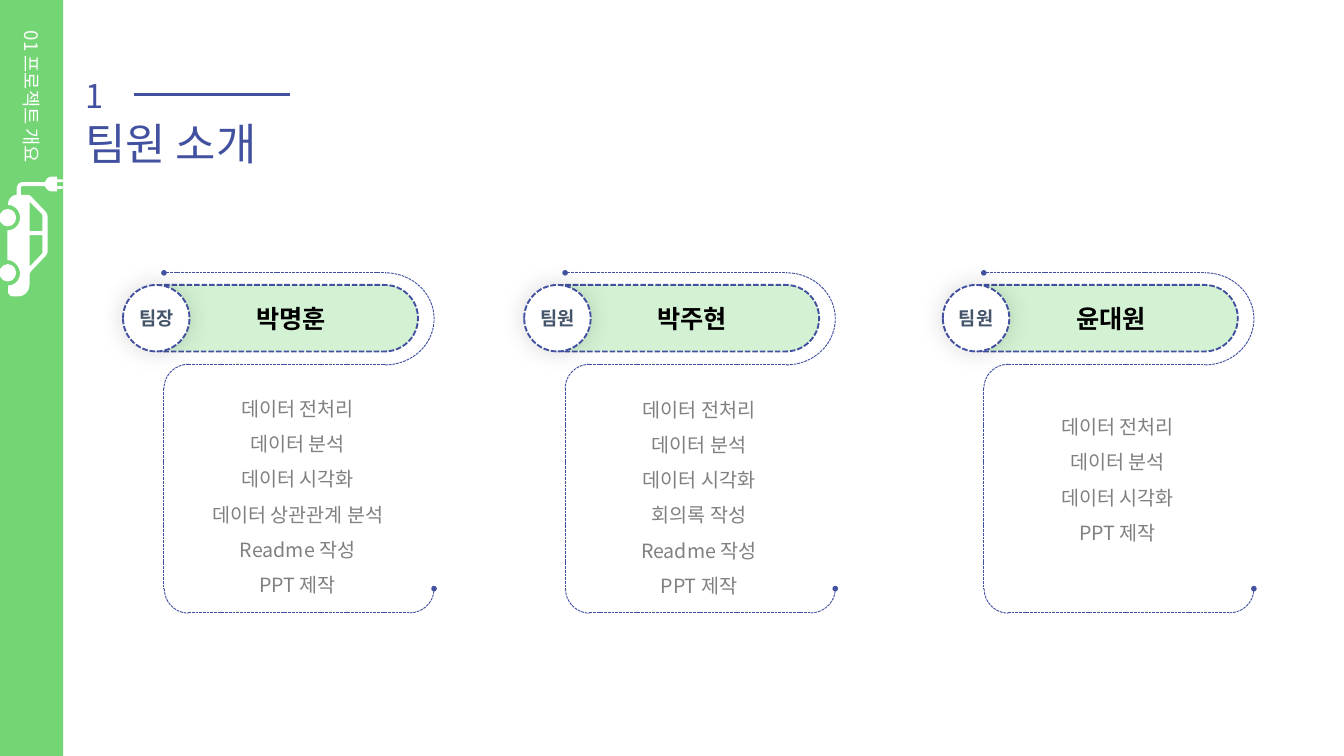
from lxml import etree
from pptx import Presentation
from pptx.dml.color import RGBColor
from pptx.enum.dml import MSO_LINE
from pptx.enum.shapes import MSO_CONNECTOR, MSO_SHAPE as SHAPE
from pptx.enum.text import MSO_ANCHOR as ANCHOR, MSO_AUTO_SIZE as AUTO, PP_ALIGN as ALIGN
from pptx.oxml.ns import qn
from pptx.util import Inches, Pt

# Content
SECTION = "01 프로젝트 개요"
NUMBER, TITLE = "1", "팀원 소개"
COMMON = ["데이터 전처리", "데이터 분석", "데이터 시각화"]
MEMBERS = [  # card left, role, name, tasks, top and height of the task list
    (1.83, "팀장", "박명훈", COMMON + ["데이터 상관관계 분석", "Readme 작성", "PPT 제작"], 5.68, 3.22),
    (7.8, "팀원", "박주현", COMMON + ["회의록 작성", "Readme 작성", "PPT 제작"], 5.69, 3.23),
    (14.03, "팀원", "윤대원", COMMON + ["PPT 제작"], 5.95, 2.17),
]
WHEEL_TOPS = [3.11, 3.93]
CAR_OUTLINES = [  # body with cable and plug, then the two windows
    """M .44 4.23 L .44 4.09 C .44 4.07 .45 4.06 .46 4.04 L .66 3.83 C .69 3.8 .71 3.77 .71 3.73
    L .71 3.23 C .71 3.19 .69 3.16 .66 3.13 L .46 2.92 C .45 2.91 .43 2.9 .41 2.9 L .31 2.9 L .31 2.8
    C .31 2.78 .32 2.77 .34 2.77 L .67 2.77 C .69 2.82 .73 2.85 .78 2.85 L .85 2.85 L .85 2.81 L .92 2.81
    C .95 2.81 .95 2.77 .92 2.77 L .85 2.77 L .85 2.71 L .92 2.71 C .95 2.71 .95 2.67 .92 2.67
    L .85 2.67 L .85 2.63 L .78 2.63 C .73 2.62 .69 2.66 .67 2.71 L .34 2.71 C .29 2.71 .25 2.75 .25 2.8
    L .25 2.9 C .18 2.9 .12 2.96 .12 3.04 L .12 3.05 C .22 3.05 .3 3.14 .3 3.24 C .3 3.35 .21 3.43 .11 3.43
    L .11 3.87 C .21 3.87 .29 3.96 .3 4.06 C .3 4.17 .22 4.25 .12 4.25 L .12 4.34
    C .12 4.37 .15 4.41 .18 4.41 L .28 4.41 C .37 4.41 .44 4.33 .44 4.24""",
    "M .44 3.44 L .44 3 L .62 3.18 C .63 3.2 .64 3.22 .63 3.24 L .63 3.44",
    "M .44 3.5 L .63 3.5 L .63 3.73 C .64 3.75 .63 3.77 .62 3.78 L .44 3.97",
]

THEME = dict(
    font="Noto Sans CJK KR", blue="4250A0", green="73D573", pale="C9EFC9", white="FFFFFF",
    black="000000", slate="44546A", grey="808080",
    title=47, number=35, name=27, task=21, role=20, section=20,
)


def rgb(color):
    return RGBColor.from_string(THEME[color])


def add_xml(parent, tag, **attributes):
    return etree.SubElement(parent, qn(tag), attributes)


def box(left, top, width, height):
    return [Inches(v) for v in (left, top, width, height)]


def write(paragraph, text, size, color, bold=False, align=ALIGN.LEFT):
    paragraph.alignment = align
    run = paragraph.add_run()
    run.text = text
    run.font.size, run.font.bold, run.font.name = Pt(THEME[size]), bold, THEME["font"]
    run.font.color.rgb = rgb(color)
    add_xml(run.font._element, "a:ea", typeface=THEME["font"])


def stroke(part, width, dashed=True, **ends):
    part.line.color.rgb = rgb("blue")
    part.line.width = Pt(width)
    if dashed:
        part.line.dash_style = MSO_LINE.SQUARE_DOT
    for end in ends:
        add_xml(part.element.spPr.find(qn("a:ln")), f"a:{end}", type="oval")


def add_line(shapes, start, stop, width=1, dashed=True, **ends):
    line = shapes.add_connector(MSO_CONNECTOR.STRAIGHT, *box(*start, *stop))
    stroke(line, width, dashed, **ends)
    add_xml(line.element.spPr, "a:effectLst")


def add_filled(shapes, kind, place, color, line_width=0):
    shape = shapes.add_shape(kind, *box(*place))
    shape.shadow.inherit = False
    shape.fill.solid()
    shape.fill.fore_color.rgb = rgb(color)
    if line_width:
        stroke(shape, line_width)
    else:
        shape.line.fill.background()
    shape.text_frame.vertical_anchor = ANCHOR.MIDDLE
    return shape


def add_curve(shapes, kind, place, rotation, **ends):
    curve = shapes.add_shape(kind, *box(*place))
    curve.shadow.inherit = False
    curve.fill.background()
    curve.rotation = rotation
    curve.element.spPr.find(qn("a:xfrm")).set("flipV", "1")
    stroke(curve, 1, **ends)
    return curve


def place_text(holder, place):
    holder.left, holder.top, holder.width, holder.height = box(*place)
    frame = holder.text_frame
    frame.word_wrap, frame.auto_size = True, AUTO.SHAPE_TO_FIT_TEXT
    frame.vertical_anchor = ANCHOR.TOP
    return frame


def add_card(shapes, left, role, name):
    # Name pill and role badge
    pill = add_filled(shapes, SHAPE.ROUNDED_RECTANGLE, (left + .11, 4.24, 4.28, .99), "pale", 2)
    pill.adjustments[0] = .5
    add_xml(pill.element.spPr.find(qn("a:solidFill"))[0], "a:alpha", val="80000")
    paragraph = pill.text_frame.paragraphs[0]
    paragraph.level = 1
    paragraph._p.get_or_add_pPr().set("marL", str(Inches(.5)))
    write(paragraph, name, "name", "black", True, ALIGN.CENTER)

    badge = add_filled(shapes, SHAPE.OVAL, (left, 4.24, .99, .99), "white", 2)
    badge.text_frame.word_wrap = False
    write(badge.text_frame.paragraphs[0], role, "role", "slate", True, ALIGN.CENTER)
    effects = badge.element.spPr.find(qn("a:effectLst"))
    shadow = add_xml(effects, "a:outerShdw", blurRad=str(Pt(26)), dist="0", algn="ctr", rotWithShape="0")
    add_xml(add_xml(shadow, "a:srgbClr", val=THEME["black"]), "a:alpha", val="14000")

    # Dashed frame, running from the top dot to the bottom dot
    x, corner, bend = left + .61, (.73, .72), left + 3.9
    top, middle, bottom, half = 4.06, 5.42, 9.12, .36
    bracket = add_curve(shapes, SHAPE.LEFT_BRACKET, (bend, top, .73, 1.37), 180)
    bracket.adjustments[0] = .94
    add_line(shapes, (x, top), (bend, top), headEnd=True)
    add_line(shapes, (x + half, middle), (bend, middle))
    add_curve(shapes, SHAPE.ARC, (x, middle, *corner), 180)
    add_line(shapes, (x, middle + half), (x, bottom - half))
    add_curve(shapes, SHAPE.ARC, (x, bottom - .72, *corner), 90)
    add_line(shapes, (x + half, bottom), (bend + half, bottom))
    add_curve(shapes, SHAPE.ARC, (bend, bottom - .72, *corner), 0, tailEnd=True)


def outline_points(outline, steps=5):
    tokens, points = outline.split(), []
    while tokens:
        count = 6 if tokens.pop(0) == "C" else 2
        values = [float(v) for v in tokens[:count]]
        del tokens[:count]
        ends = list(zip(values[::2], values[1::2]))
        if count == 2:
            points += ends
            continue
        curve = [points[-1], *ends]
        for t in (i / steps for i in range(1, steps + 1)):
            weights = ((1 - t) ** 3, 3 * t * (1 - t) ** 2, 3 * t * t * (1 - t), t ** 3)
            points.append(tuple(sum(w * p[axis] for w, p in zip(weights, curve)) for axis in (0, 1)))
    return [(Inches(x), Inches(y)) for x, y in points]


def add_car(shapes):
    for top in WHEEL_TOPS:
        add_filled(shapes, SHAPE.OVAL, (-.01, top, .25, .26), "white")
    body, *windows = [outline_points(outline) for outline in CAR_OUTLINES]
    builder = shapes.build_freeform(*body[0])
    builder.add_line_segments(body[1:], close=True)
    for window in windows:
        builder.move_to(*window[0])
        builder.add_line_segments(window[1:], close=True)
    car = builder.convert_to_shape()
    car.shadow.inherit = False
    car.fill.solid()
    car.fill.fore_color.rgb = rgb("white")
    car.line.fill.background()


def main():
    deck = Presentation()
    deck.slide_width, deck.slide_height = Inches(20), Inches(11.25)
    slide = deck.slides.add_slide(deck.slide_layouts[4])
    shapes = slide.shapes
    heading, *task_lists, spare = list(slide.placeholders)
    spare.element.getparent().remove(spare.element)

    # Sidebar
    sidebar = add_filled(shapes, SHAPE.RECTANGLE, (0, -.21, .94, 11.83), "green")
    sidebar.text_frame._txBody.bodyPr.set("vert", "vert")
    section = sidebar.text_frame.paragraphs[0]
    section._p.get_or_add_pPr().set("marL", str(Inches(.57)))
    write(section, SECTION, "section", "white")
    add_car(shapes.add_group_shape().shapes)

    # Heading
    write(place_text(heading, (1.17, 1.68, 5.5, .89)).paragraphs[0], TITLE, "title", "blue")
    number = shapes.add_textbox(*box(1.17, 1.08, 2.18, .69))
    write(place_text(number, (1.17, 1.08, 2.18, .69)).paragraphs[0], NUMBER, "number", "blue")
    add_line(shapes, (1.99, 1.41), (4.31, 1.41), 3, dashed=False)

    # Member cards
    for (left, role, name, tasks, top, height), task_list in zip(MEMBERS, task_lists):
        add_card(shapes.add_group_shape().shapes, left, role, name)
        frame = place_text(task_list, (left + .65, top, 3.9, height))
        for i, task in enumerate(tasks):
            paragraph = frame.add_paragraph() if i else frame.paragraphs[0]
            paragraph.line_spacing, paragraph.space_before = 1.5, Pt(0)
            properties = paragraph._p.get_or_add_pPr()
            properties.set("marL", "0")
            properties.set("indent", "0")
            add_xml(properties, "a:buNone")
            write(paragraph, task, "task", "grey", align=ALIGN.CENTER)

    deck.save("out.pptx")


if __name__ == "__main__":
    main()
